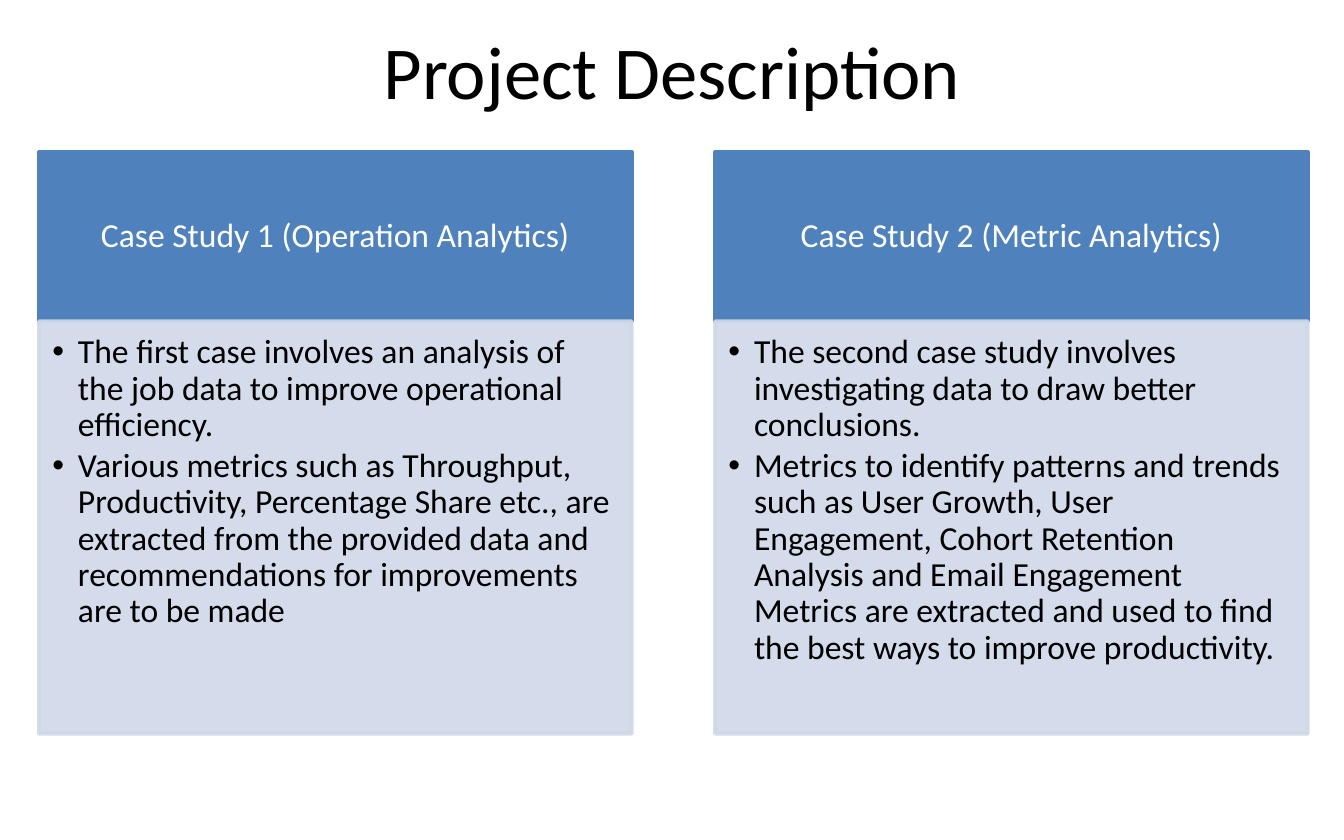
from dataclasses import dataclass

from lxml.etree import SubElement
from pptx import Presentation
from pptx.dml.color import RGBColor
from pptx.enum.text import MSO_ANCHOR, MSO_AUTO_SIZE, PP_ALIGN
from pptx.oxml.ns import qn
from pptx.shapes.autoshape import Shape
from pptx.text.text import _Paragraph
from pptx.util import Inches, Pt

BLUE = RGBColor(0x4F, 0x81, 0xBD)
PALE_BLUE = RGBColor(0xD0, 0xD8, 0xE8)
BLACK = RGBColor(0, 0, 0)
WHITE = RGBColor(0xFF, 0xFF, 0xFF)
FONT = "Calibri"

COLUMN_LEFT, COLUMN_PITCH, COLUMN_WIDTH = 0.29, 5.03, 4.41
HEADER_TOP, HEADER_HEIGHT, BODY_HEIGHT = 1.13, 1.26, 3.07
COMPARISON_LAYOUT = 4


@dataclass
class CaseStudy:
    heading: str
    points: list[str]


CASE_STUDIES = [
    CaseStudy("Case Study 1 (Operation Analytics)", [
        "The first case involves an analysis of the job data to improve "
        "operational efficiency. ",
        "Various metrics such as Throughput, Productivity, Percentage Share "
        "etc., are extracted from the provided data and recommendations for "
        "improvements are to be made",
    ]),
    CaseStudy("Case Study 2 (Metric Analytics)", [
        "The second case study involves investigating data to draw better "
        "conclusions. ",
        "Metrics to identify patterns and trends such as User Growth, User "
        "Engagement, Cohort Retention Analysis and Email Engagement Metrics "
        "are extracted and used to find the best ways to improve productivity.",
    ]),
]


def place(shape: Shape, left: float, top: float, width: float, height: float) -> None:
    shape.left, shape.top = Inches(left), Inches(top)
    shape.width, shape.height = Inches(width), Inches(height)


def paint(shape: Shape, color: RGBColor, opacity: int = 100) -> None:
    shape.fill.solid()
    shape.fill.fore_color.rgb = color
    shape.line.color.rgb = color
    shape.line.width = Pt(2)
    if opacity < 100:
        for element in shape._element.spPr.iter(qn("a:srgbClr")):
            SubElement(element, qn("a:alpha"), val=str(opacity * 1000))


def set_frame(shape: Shape, anchor: MSO_ANCHOR, margins: tuple[float, ...]) -> None:
    frame = shape.text_frame
    frame.auto_size = MSO_AUTO_SIZE.NONE
    frame.word_wrap = True
    frame.vertical_anchor = anchor
    (frame.margin_left, frame.margin_top,
     frame.margin_right, frame.margin_bottom) = map(Inches, margins)


def format_text(paragraph: _Paragraph, size: int, color: RGBColor) -> None:
    for run in paragraph.runs:
        run.font.name = FONT
        run.font.size = Pt(size)
        run.font.bold = False
        run.font.color.rgb = color


def add_bullet(paragraph: _Paragraph) -> None:
    properties = paragraph._p.get_or_add_pPr()
    properties.set("marL", str(Inches(0.19)))
    properties.set("indent", str(Inches(-0.19)))
    SubElement(properties, qn("a:buFont"), typeface="Arial")
    SubElement(properties, qn("a:buChar"), char="•")


def fill_header(shape: Shape, heading: str) -> None:
    paint(shape, BLUE)
    set_frame(shape, MSO_ANCHOR.MIDDLE, (0.14, 0.08, 0.14, 0.08))
    shape.text_frame.text = heading
    paragraph = shape.text_frame.paragraphs[0]
    paragraph.alignment = PP_ALIGN.CENTER
    paragraph.line_spacing = 0.9
    paragraph.space_before = Pt(0)
    format_text(paragraph, 18, WHITE)


def fill_body(shape: Shape, points: list[str]) -> None:
    paint(shape, PALE_BLUE, opacity=90)
    set_frame(shape, MSO_ANCHOR.TOP, (0.1, 0.1, 0.14, 0.16))
    shape.text_frame.text = "\n".join(points)
    for paragraph in shape.text_frame.paragraphs:
        paragraph.level = 1
        add_bullet(paragraph)
        paragraph.line_spacing = 0.9
        paragraph.space_before = Pt(0)
        paragraph.space_after = Pt(2.7)
        format_text(paragraph, 18, BLACK)


def main() -> None:
    presentation = Presentation()
    presentation.slide_width = Inches(10)
    presentation.slide_height = Inches(6.25)
    slide = presentation.slides.add_slide(presentation.slide_layouts[COMPARISON_LAYOUT])

    # Title
    title = slide.shapes.title
    place(title, 0, 0, 10, 1.04)
    set_frame(title, MSO_ANCHOR.MIDDLE, (0.1, 0.05, 0.1, 0.05))
    title.text_frame.text = "Project Description"
    title.text_frame.paragraphs[0].alignment = PP_ALIGN.CENTER
    format_text(title.text_frame.paragraphs[0], 40, BLACK)

    # One column per case study: header above bullet list
    _, *boxes = slide.placeholders
    for column, study in enumerate(CASE_STUDIES):
        header, body = boxes[2 * column:2 * column + 2]
        left = COLUMN_LEFT + column * COLUMN_PITCH
        place(header, left, HEADER_TOP, COLUMN_WIDTH, HEADER_HEIGHT)
        place(body, left, HEADER_TOP + HEADER_HEIGHT, COLUMN_WIDTH, BODY_HEIGHT)
        fill_header(header, study.heading)
        fill_body(body, study.points)

    presentation.save("out.pptx")


if __name__ == "__main__":
    main()
